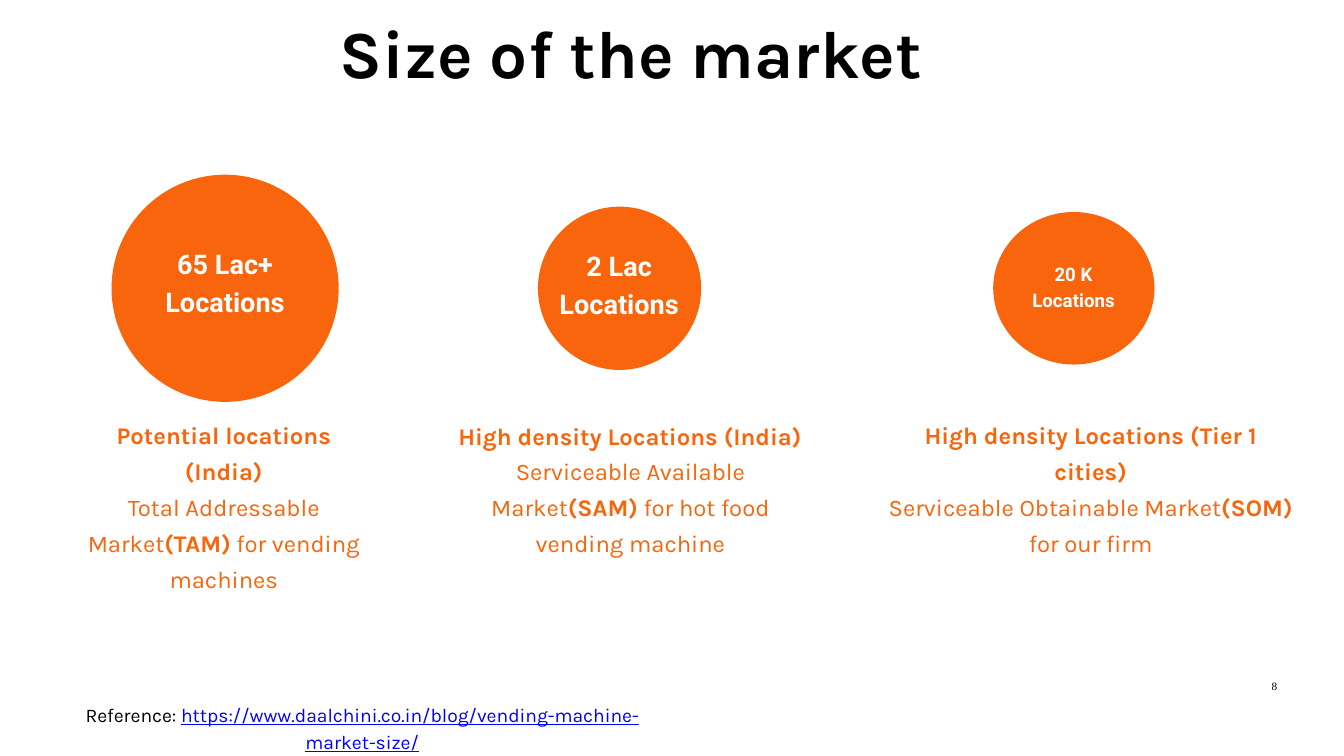
from dataclasses import dataclass

from pptx import Presentation
from pptx.dml.color import RGBColor
from pptx.enum.shapes import MSO_SHAPE as Shape
from pptx.enum.text import MSO_ANCHOR as Anchor, MSO_AUTO_SIZE as AutoSize, PP_ALIGN as Align
from pptx.util import Inches, Pt

ORANGE, LABEL_ORANGE = "F8650C", "F8650A"
WHITE, BLACK, LINK_BLUE = "FFFFFF", "000000", "0000FF"
CIRCLE_MIDDLE = 4.29
CAPTION_TOP = 6.16

Box = tuple[float, float, float, float]


@dataclass(frozen=True)
class Style:
    font: str
    size: float
    spacing: float
    color: str
    bold: bool = False


@dataclass(frozen=True)
class Span:
    text: str
    overrides: dict


@dataclass(frozen=True)
class Line:
    spans: list[Span]
    align: Align = Align.CENTER


@dataclass(frozen=True)
class Market:
    center: float
    diameters: tuple[float, float]
    count_box: Box
    count: list[str]
    count_size: float
    count_spacing: float
    caption_box: Box
    heading: str
    description: tuple[str, str, str]
    heading_align: Align = Align.CENTER


TITLE = Style("Karla", 72, 86.4, BLACK, True)
CAPTION = Style("Karla", 25.6, 38.4, LABEL_ORANGE)
REFERENCE = Style("Karla", 20.7, 29, BLACK)
PAGE_NUMBER = Style("Times New Roman", 12, 16.8, BLACK)

MARKETS = [
    Market(3.35, (3.38, 3.38), (1.98, 2.68, 2.74, 2.98), ["65 Lac+ Locations"], 29, 40.6,
           (1.23, CAPTION_TOP, 4.2, 2.74), "Potential locations (India)",
           ("Total Addressable Market", "(TAM)", " for vending machines")),
    Market(9.22, (2.43, 2.43), (8.23, 3.13, 1.97, 2.14), ["2 Lac", "Locations"], 29, 40.6,
           (6.82, CAPTION_TOP, 5.12, 2.21), "High density Locations (India)",
           ("Serviceable Available Market", "(SAM)", " for hot food vending machine"),
           Align.JUSTIFY),
    Market(15.98, (2.4, 2.27), (15, 3.28, 1.95, 1.93), ["20 K", "Locations"], 20, 28,
           (13.21, CAPTION_TOP, 6.04, 1.67), "High density Locations (Tier 1 cities)",
           ("Serviceable Obtainable Market", "(SOM)", " for our firm")),
]


def rgb(color: str) -> RGBColor:
    return RGBColor.from_string(color)


def plain(text: str) -> Line:
    return Line([Span(text, {})])


def add_text(slide, box: Box, lines: list[Line], style: Style, margin: float = 0,
             anchor: Anchor = Anchor.TOP, wrap: bool = True,
             auto_size: AutoSize = AutoSize.SHAPE_TO_FIT_TEXT) -> None:
    frame = slide.shapes.add_textbox(*map(Inches, box)).text_frame
    frame_format = {"word_wrap": wrap, "auto_size": auto_size, "vertical_anchor": anchor}
    frame_format |= {f"margin_{side}": Inches(margin)
                     for side in ("left", "top", "right", "bottom")}
    for name, value in frame_format.items():
        setattr(frame, name, value)
    for index, line in enumerate(lines):
        paragraph = frame.add_paragraph() if index else frame.paragraphs[0]
        paragraph.alignment = line.align
        paragraph.line_spacing = Pt(style.spacing)
        for span in line.spans:
            run = paragraph.add_run()
            run.text = span.text
            font_format = {"name": style.font, "size": Pt(style.size), "bold": style.bold}
            font_format |= span.overrides
            run.font.color.rgb = rgb(font_format.pop("color", style.color))
            for name, value in font_format.items():
                setattr(run.font, name, value)


def add_market(slide, market: Market) -> None:
    """Draw one circle with its location count and the caption below it."""
    width, height = market.diameters
    circle = slide.shapes.add_shape(
        Shape.OVAL, Inches(market.center - width / 2), Inches(CIRCLE_MIDDLE - height / 2),
        Inches(width), Inches(height))
    circle.shadow.inherit = False
    circle.fill.solid()
    circle.fill.fore_color.rgb = rgb(ORANGE)
    circle.line.fill.background()

    count_style = Style("Roboto", market.count_size, market.count_spacing, WHITE, True)
    add_text(slide, market.count_box, [plain(text) for text in market.count], count_style,
             margin=0.06, anchor=Anchor.MIDDLE, auto_size=AutoSize.NONE)

    before, acronym, after = market.description
    bold = {"bold": True}
    add_text(slide, market.caption_box, [
        Line([Span(market.heading, bold)], market.heading_align),
        Line([Span(before, {}), Span(acronym, bold), Span(after, {})]),
    ], CAPTION)


def main() -> None:
    deck = Presentation()
    deck.slide_width, deck.slide_height = Inches(20), Inches(11.25)
    slide = deck.slides.add_slide(deck.slide_layouts[6])

    for market in MARKETS:
        add_market(slide, market)

    add_text(slide, (4.73, 0.17, 9.31, 1.5), [plain("Size of the market")], TITLE)
    link = Span("https://www.daalchini.co.in/blog/vending-machine-market-size/",
                {"color": LINK_BLUE, "underline": True})
    add_text(slide, (0.78, 10.41, 9.22, 0.47),
             [Line([Span("Reference: ", {}), link])], REFERENCE)
    add_text(slide, (18.88, 10.07, 0.17, 0.22), [plain("8")], PAGE_NUMBER, wrap=False)

    deck.save("out.pptx")


if __name__ == "__main__":
    main()
